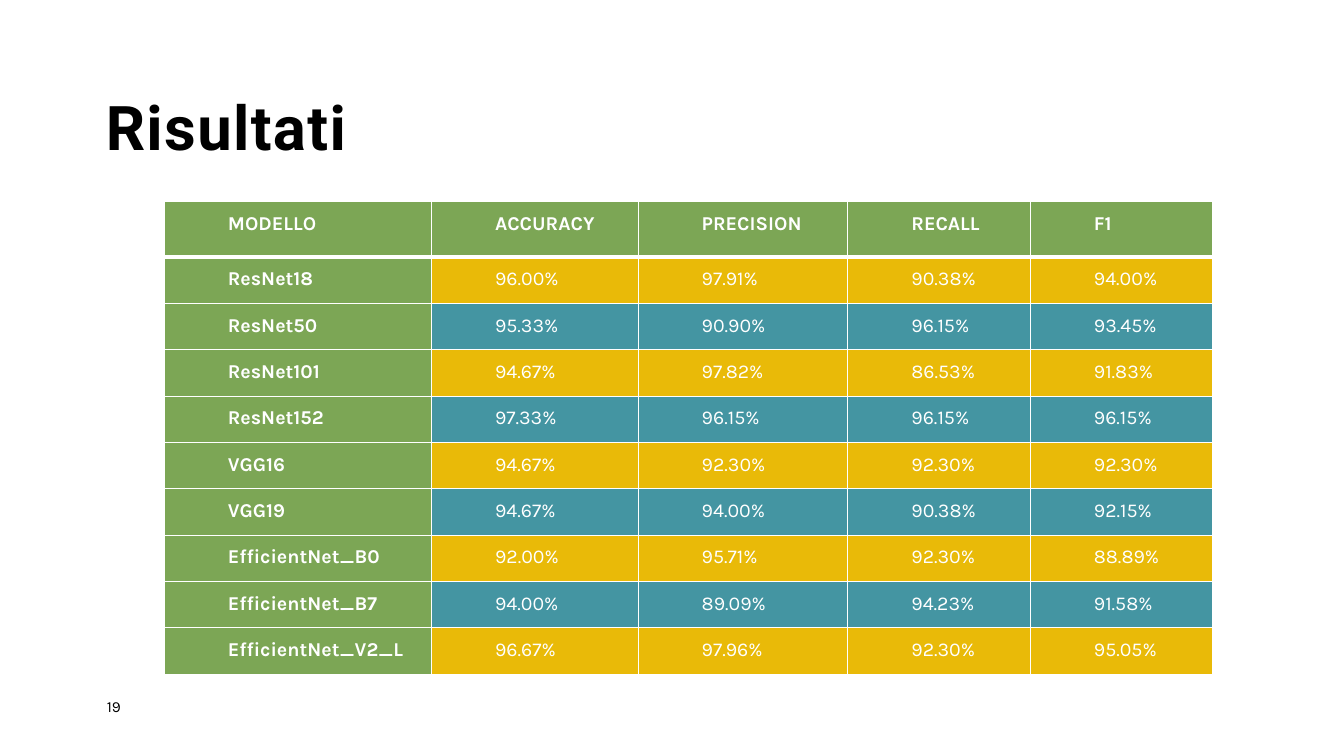
import pptx
import pptx.dml.color
import pptx.enum.text
import pptx.oxml
import pptx.oxml.ns
import pptx.util
from pptx.util import Inches

RGBColor = pptx.dml.color.RGBColor
BLACK = RGBColor(0x00, 0x00, 0x00)
WHITE = RGBColor(0xFF, 0xFF, 0xFF)
GREEN = RGBColor(0x7C, 0xA6, 0x55)
YELLOW = RGBColor(0xE9, 0xBA, 0x08)
TEAL = RGBColor(0x44, 0x95, 0xA2)

HEADER = ["MODELLO", "ACCURACY", "PRECISION", "RECALL", "F1"]
RESULTS = [
    ["ResNet18", "96.00%", "97.91%", "90.38%", "94.00%"],
    ["ResNet50", "95.33%", "90.90%", "96.15%", "93.45%"],
    ["ResNet101", "94.67%", "97.82%", "86.53%", "91.83%"],
    ["ResNet152", "97.33%", "96.15%", "96.15%", "96.15%"],
    ["VGG16", "94.67%", "92.30%", "92.30%", "92.30%"],
    ["VGG19", "94.67%", "94.00%", "90.38%", "92.15%"],
    ["EfficientNet_B0", "92.00%", "95.71%", "92.30%", "88.89%"],
    ["EfficientNet_B7", "94.00%", "89.09%", "94.23%", "91.58%"],
    ["EfficientNet_V2_L", "96.67%", "97.96%", "92.30%", "95.05%"],
]
COLUMN_WIDTHS = [2.65, 2.05, 2.08, 1.81, 1.81]
HEADER_HEIGHT = 0.55
ROW_HEIGHT = 0.46


def format_run(run, font_name, size, color, bold=False):
    run.font.name = font_name
    run.font.size = pptx.util.Pt(size)
    run.font.color.rgb = color
    run.font.bold = bold


def add_text(slide, left, top, width, height, text):
    """Add a one-paragraph text box without insets and return its frame."""
    box = slide.shapes.add_textbox(Inches(left), Inches(top), Inches(width), Inches(height))
    frame = box.text_frame
    frame.word_wrap = True
    frame.margin_left = frame.margin_top = frame.margin_right = frame.margin_bottom = 0
    frame.text = text
    return frame


def add_title(slide, left, top, width, height):
    frame = add_text(slide, left, top, width, height, "Risultati")
    frame.vertical_anchor = pptx.enum.text.MSO_ANCHOR.BOTTOM
    paragraph = frame.paragraphs[0]
    paragraph.line_spacing = 0.9
    run = paragraph.runs[0]
    format_run(run, "Roboto", 44, BLACK, bold=True)
    run.font._element.set("spc", "100")  # letter spacing of 1 pt


def add_page_number(slide, left, top, width, height):
    paragraph = add_text(slide, left, top, width, height, "19").paragraphs[0]
    paragraph.space_after = pptx.util.Pt(6)
    format_run(paragraph.runs[0], "Karla", 11, BLACK)


def set_borders(cell, top_width, bottom_width):
    properties = cell._tc.get_or_add_tcPr()
    widths = {"lnL": 1, "lnR": 1, "lnT": top_width, "lnB": bottom_width}
    for side, width in widths.items():
        properties.append(pptx.oxml.parse_xml(
            f'<a:{side} {pptx.oxml.ns.nsdecls("a")} w="{pptx.util.Pt(width)}">'
            f'<a:solidFill><a:srgbClr val="{WHITE}"/></a:solidFill></a:{side}>'))


def fill_cell(cell, text, color, bold):
    cell.fill.solid()
    cell.fill.fore_color.rgb = color
    cell.margin_left = cell.margin_right = Inches(0.04)
    cell.margin_top = cell.margin_bottom = 0
    paragraph = cell.text_frame.paragraphs[0]
    paragraph.text = text
    paragraph.alignment = pptx.enum.text.PP_ALIGN.JUSTIFY
    paragraph.line_spacing = pptx.util.Pt(24)
    paragraph._p.get_or_add_pPr().set("marL", str(Inches(0.59)))
    format_run(paragraph.runs[0], "Karla", 14, WHITE, bold)


def add_results_table(slide, left, top, width, height):
    rows = [HEADER] + RESULTS
    table = slide.shapes.add_table(
        len(rows), len(HEADER), Inches(left), Inches(top), Inches(width), Inches(height)).table
    for column, column_width in zip(table.columns, COLUMN_WIDTHS):
        column.width = Inches(column_width)

    for row_index, values in enumerate(rows):
        is_header = row_index == 0
        table.rows[row_index].height = Inches(HEADER_HEIGHT if is_header else ROW_HEIGHT)
        band_color = YELLOW if row_index % 2 else TEAL
        for column_index, text in enumerate(values):
            cell = table.cell(row_index, column_index)
            is_heading = is_header or column_index == 0
            # A thick rule separates the header from the first result
            set_borders(cell, 3 if row_index == 1 else 1, 3 if is_header else 1)
            fill_cell(cell, text, GREEN if is_heading else band_color, is_heading)


def main():
    presentation = pptx.Presentation()
    presentation.slide_width = Inches(13.33)
    presentation.slide_height = Inches(7.5)
    slide = presentation.slides.add_slide(presentation.slide_layouts[6])
    add_title(slide, 1.05, 0.96, 7.53, 0.67)
    add_page_number(slide, 1.06, 6.92, 0.57, 0.27)
    add_results_table(slide, 1.63, 2, sum(COLUMN_WIDTHS),
                      HEADER_HEIGHT + ROW_HEIGHT * len(RESULTS))
    presentation.save("out.pptx")


if __name__ == "__main__":
    main()
